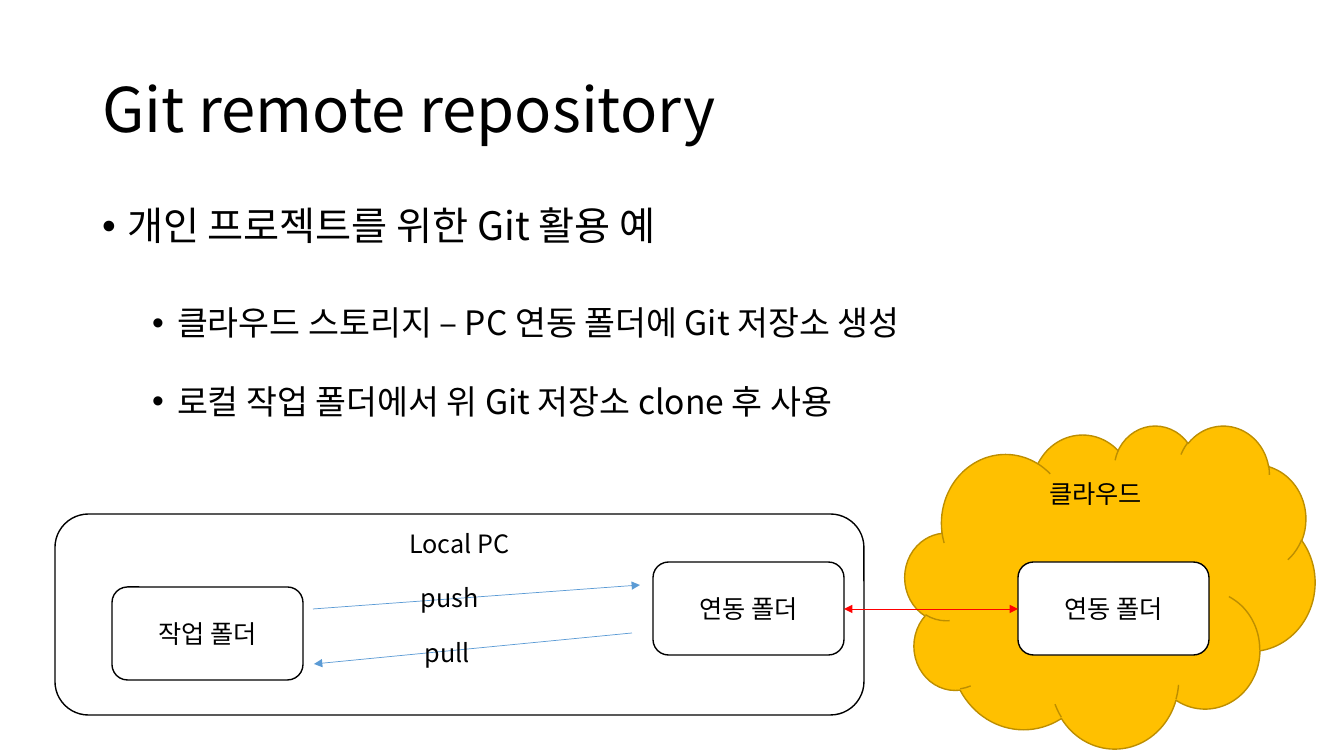
"""Build the slide on using a Git remote repository for a personal project."""
from lxml.etree import SubElement
from pptx import Presentation
from pptx.dml.color import RGBColor
from pptx.enum.shapes import MSO_CONNECTOR, MSO_SHAPE
from pptx.enum.text import MSO_ANCHOR, MSO_AUTO_SIZE, PP_ALIGN
from pptx.oxml.ns import qn
from pptx.util import Emu, Pt

FONT = "Noto Sans CJK KR"
BLACK, WHITE, GOLD, BROWN = "000000", "FFFFFF", "FFC000", "BD8E00"
RED, BLUE = "FF0000", "5B9BD5"
TITLE = "Git remote repository"
ITEMS = [
    ("개인 프로젝트를 위한 Git 활용 예", 0, 28, 10),
    ("클라우드 스토리지 – PC 연동 폴더에 Git 저장소 생성", 1, 24, 41),
    ("로컬 작업 폴더에서 위 Git 저장소 clone 후 사용", 1, 24, 30),
]
AREAS = [
    ("Local PC", MSO_SHAPE.ROUNDED_RECTANGLE, (55, 514, 809, 201), WHITE, BLACK),
    ("클라우드", MSO_SHAPE.CLOUD, (905, 425, 410, 323), GOLD, BROWN),
]
FOLDERS = [("작업 폴더", 112, 587), ("연동 폴더", 653, 562), ("연동 폴더", 1018, 562)]
FOLDER_W, FOLDER_H = 191, 93
ARROWS = [
    ((844, 609), (1018, 609), RED, ("headEnd", "tailEnd")),
    ((313, 609), (640, 585), BLUE, ("tailEnd",)),
    ((632, 633), (314, 664), BLUE, ("tailEnd",)),
]
LABELS = [("push", 411, 577), ("pull", 415, 632)]


def px(n):
    return Emu(round(n * 914400 / 100.8))


def rgb(code):
    return RGBColor.from_string(code)


def put(para, text, size=18, align=PP_ALIGN.LEFT, space=None, before=0):
    para.alignment = align
    para.line_spacing = space
    para.space_before = Pt(before)
    run = para.add_run()
    run.text = text
    run.font.size = Pt(size)
    run.font.name = FONT
    run.font.color.rgb = rgb(BLACK)
    SubElement(run.font._element, qn("a:ea"), typeface=FONT)


def place(shape, box):
    shape.left, shape.top, shape.width, shape.height = map(px, box)


def add_box(text, kind, box, fill, line, anchor=MSO_ANCHOR.MIDDLE):
    shape = slide.shapes.add_shape(kind, *map(px, box))
    shape.shadow.inherit = False
    shape.fill.solid()
    shape.fill.fore_color.rgb = rgb(fill)
    shape.line.color.rgb = rgb(line)
    shape.line.width = Pt(1)
    frame = shape.text_frame
    frame.vertical_anchor = anchor
    put(frame.paragraphs[0], text, align=PP_ALIGN.CENTER)


def add_arrow(start, end, color, ends):
    line = slide.shapes.add_connector(MSO_CONNECTOR.STRAIGHT, *map(px, start + end))
    line.line.color.rgb = rgb(color)
    line.line.width = Pt(0.5)
    for tag in ends:
        SubElement(line.line._get_or_add_ln(), qn("a:" + tag), type="triangle")
    SubElement(line._element.spPr, qn("a:effectLst"))


deck = Presentation()
deck.slide_width, deck.slide_height = px(1344), px(756)
slide = deck.slides.add_slide(deck.slide_layouts[1])

title, body = slide.placeholders
place(title, (92, 40, 1159, 146))
title.text_frame.vertical_anchor = MSO_ANCHOR.MIDDLE
put(title.text_frame.paragraphs[0], TITLE, size=44, space=0.9)

place(body, (92, 202, 1159, 480))
frame = body.text_frame
for part in (title.text_frame, frame):
    part.auto_size = MSO_AUTO_SIZE.NONE
for i, (text, level, size, before) in enumerate(ITEMS):
    para = frame.add_paragraph() if i else frame.paragraphs[0]
    para.level = level
    put(para, text, size=size, space=0.9, before=before)
    props = para._p.get_or_add_pPr()
    props.set("marL", str(px(25 + 50 * level)))
    props.set("indent", str(-px(25)))
    SubElement(props, qn("a:buFont"), typeface="Arial")
    SubElement(props, qn("a:buChar"), char="•")

for area in AREAS:
    add_box(*area, anchor=MSO_ANCHOR.TOP)
for text, x, y in FOLDERS:
    add_box(text, MSO_SHAPE.ROUNDED_RECTANGLE, (x, y, FOLDER_W, FOLDER_H), WHITE, BLACK)
for arrow in ARROWS:
    add_arrow(*arrow)
for text, x, y in LABELS:
    label = slide.shapes.add_textbox(*map(px, (x, y, 108, 40)))
    label.text_frame.word_wrap = True
    put(label.text_frame.paragraphs[0], text)

deck.save("out.pptx")
